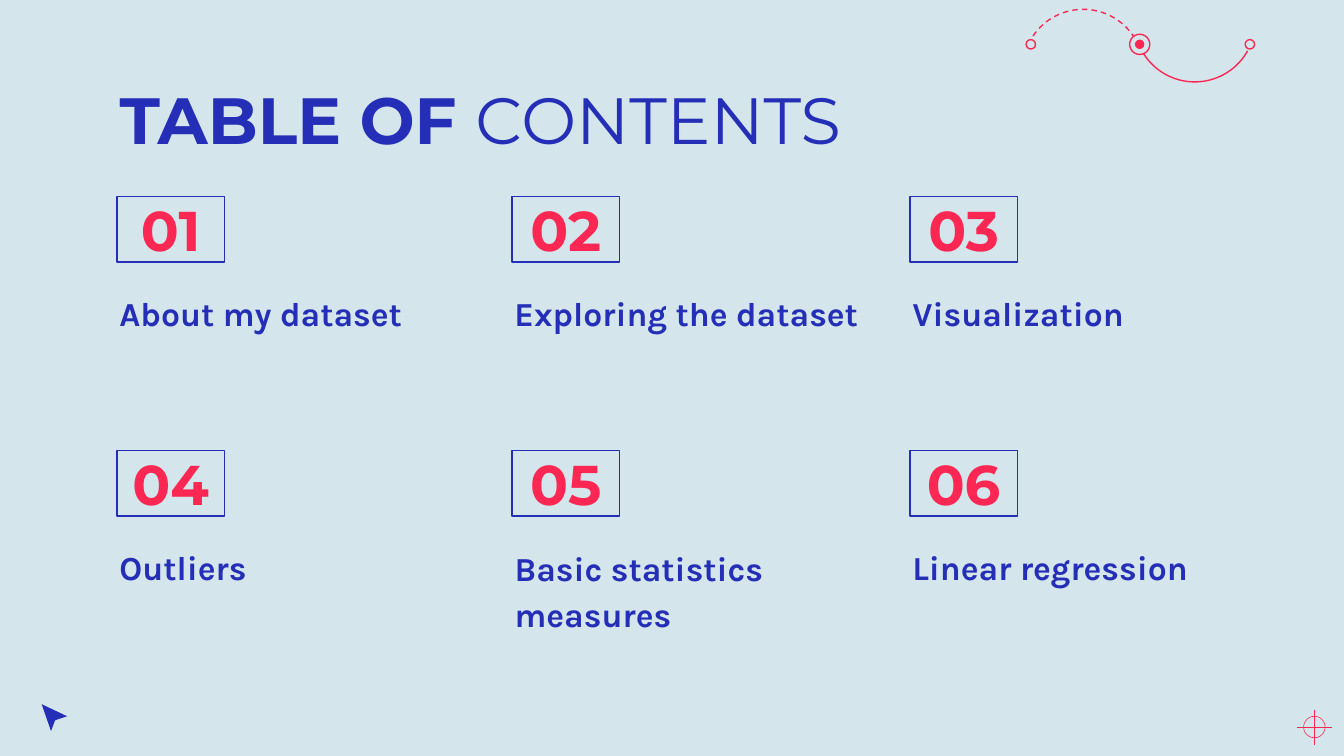
from pptx import Presentation
from pptx.dml.color import RGBColor
from pptx.enum import dml, shapes, text
from pptx.oxml.ns import qn
from pptx.util import Inches, Pt

SKY = RGBColor(0xD4, 0xE6, 0xEC)
BLUE = RGBColor(0x25, 0x2E, 0xB7)
RED = RGBColor(0xFC, 0x27, 0x53)
SHAPE = shapes.MSO_SHAPE

HEAD = {"name": "Montserrat", "size": Pt(35), "bold": True}
THIN = HEAD | {"bold": False}
NUM = HEAD | {"size": Pt(30)}
TOPIC = {"name": "Karla", "size": Pt(18), "bold": True}

# Columns and rows of the contents grid
COLS = (0.87, 3.81, 6.77)
TOP, STEP = 1.46, 1.89
# Topic, width and height of its text
TOPICS = [
    ("About my dataset", 2.58, 0.53),
    ("Exploring the dataset", 2.94, 0.53),
    ("Visualization", 2.58, 0.53),
    ("Outliers", 2.58, 0.53),
    ("Basic statistics measures", 2.58, 0.88),
    ("Linear regression", 2.58, 0.53),
]


def box(*nums):
    return [Inches(n) for n in nums]


def add_run(para, words, form, color):
    run = para.add_run()
    run.text = words
    for key, val in form.items():
        setattr(run.font, key, val)
    run.font.color.rgb = color


def set_frame(frame, anchor):
    form = {"word_wrap": True, "auto_size": text.MSO_AUTO_SIZE.NONE,
            "vertical_anchor": anchor}
    for side in ("left", "right", "top", "bottom"):
        form["margin_" + side] = Inches(0.1)
    for key, val in form.items():
        setattr(frame, key, val)
    return frame.paragraphs[0]


def paint(shape, fill=None, line=None, width=0.75):
    shape.shadow.inherit = False
    if fill is None:
        shape.fill.background()
    else:
        shape.fill.solid()
        shape.fill.fore_color.rgb = fill
    if line is None:
        shape.line.fill.background()
    else:
        shape.line.color.rgb = line
        shape.line.width = Pt(width)


def add_disc(slide, x, y, size, **look):
    """Circle centred on x, y."""
    disc = slide.shapes.add_shape(
        SHAPE.OVAL, *box(x - size / 2, y - size / 2, size, size))
    paint(disc, **look)


def add_arc(slide, x, y, start, end):
    """Arc of the wave around x, y, with angles in degrees."""
    rad = 0.45
    arc = slide.shapes.add_shape(
        SHAPE.ARC, *box(x - rad, y - rad, 2 * rad, 2 * rad))
    for i, deg in enumerate((start, end)):
        arc.adjustments[i] = deg * 0.6
    paint(arc, line=RED)
    return arc


def add_line(slide, *ends):
    line = slide.shapes.add_connector(
        shapes.MSO_CONNECTOR.STRAIGHT, *box(*ends))
    line.line.color.rgb = RED
    line.line.width = Pt(0.31)
    props = line._element.spPr
    props.append(props.makeelement(qn("a:effectLst"), {}))


def add_wave(slide):
    arc = add_arc(slide, 8.06, 0.52, 214, 326)
    arc.line.dash_style = dml.MSO_LINE.DASH
    add_arc(slide, 8.89, 0.16, 29, 148)
    for x, size in ((7.67, 0.07), (8.48, 0.15), (9.3, 0.07)):
        add_disc(slide, x, 0.33, size, line=RED)
    add_disc(slide, 8.48, 0.33, 0.07, fill=RED)


def add_target(slide):
    x, y, arm = 9.78, 5.41, 0.13
    add_line(slide, x, y - arm, x, y + arm)
    add_line(slide, x - arm, y, x + arm, y)
    add_disc(slide, x, y, 0.16, line=RED, width=0.31)


def add_cursor(slide):
    pen = slide.shapes.build_freeform(Inches(0.31), Inches(5.24), 1.0)
    pen.add_line_segments(
        [box(*p) for p in ((0.38, 5.44), (0.41, 5.36), (0.5, 5.33))])
    paint(pen.convert_to_shape(), fill=BLUE)


def add_title(slide):
    title = slide.shapes.title
    title.left, title.top, title.width, title.height = box(
        0.79, 0.49, 8.43, 0.63)
    para = set_frame(title.text_frame, text.MSO_ANCHOR.TOP)
    para.alignment = text.PP_ALIGN.LEFT
    add_run(para, "TABLE OF ", HEAD, BLUE)
    add_run(para, "CONTENTS", THIN, BLUE)


def add_entry(slide, i, topic, width, height):
    row, col = divmod(i, len(COLS))
    x, y = COLS[col], TOP + row * STEP
    # Framed number
    frame = slide.shapes.add_shape(SHAPE.RECTANGLE, *box(x, y, 0.8, 0.49))
    paint(frame, line=BLUE)
    para = set_frame(frame.text_frame, text.MSO_ANCHOR.MIDDLE)
    para.alignment = text.PP_ALIGN.CENTER
    add_run(para, f"{i + 1:02}", NUM, RED)
    # Topic below it
    label = slide.shapes.add_textbox(*box(x - 0.08, y + 0.59, width, height))
    para = set_frame(label.text_frame, text.MSO_ANCHOR.BOTTOM)
    para.line_spacing = 1.15
    add_run(para, topic, TOPIC, BLUE)


def main():
    deck = Presentation()
    # 16:9 page, 405 points high
    deck.slide_width, deck.slide_height = Inches(10), Pt(405)
    slide = deck.slides.add_slide(deck.slide_layouts[5])
    back = slide.background.fill
    back.solid()
    back.fore_color.rgb = SKY
    add_wave(slide)
    add_target(slide)
    add_title(slide)
    for i, entry in enumerate(TOPICS):
        add_entry(slide, i, *entry)
    add_cursor(slide)
    deck.save("out.pptx")


if __name__ == "__main__":
    main()
